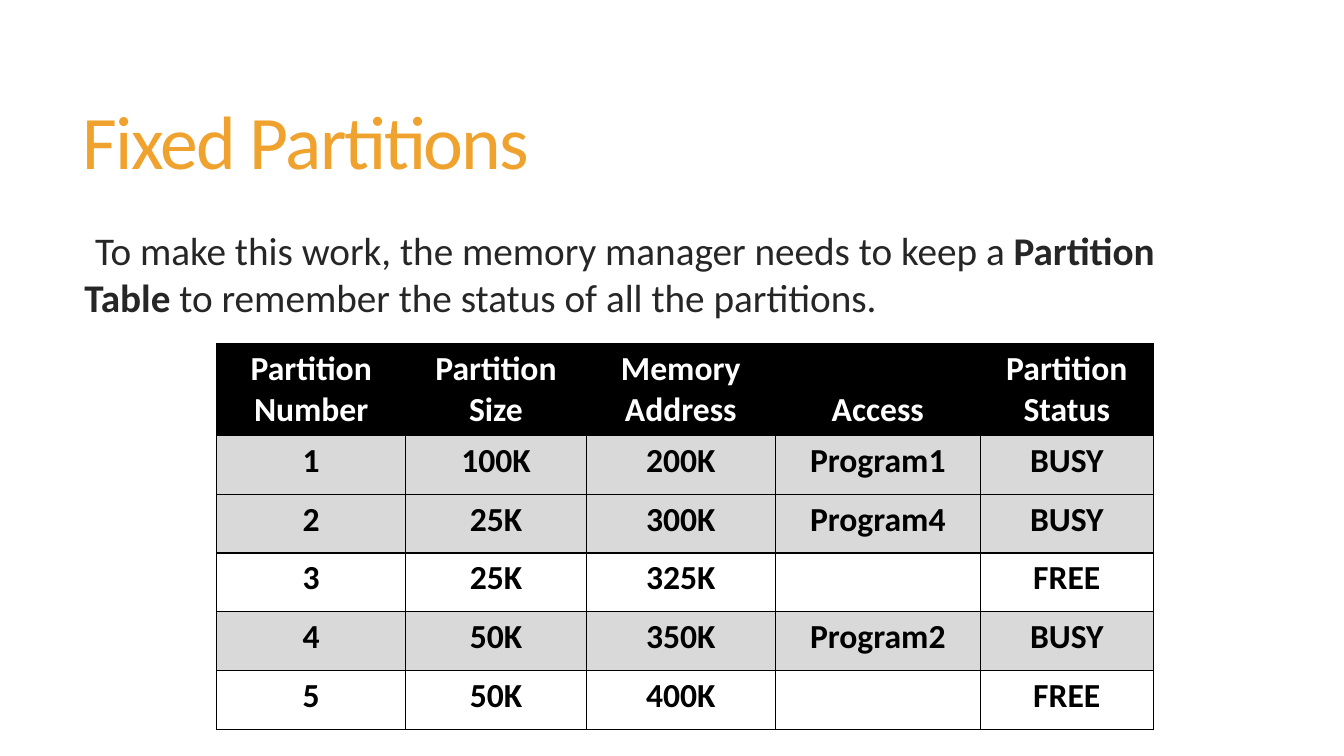
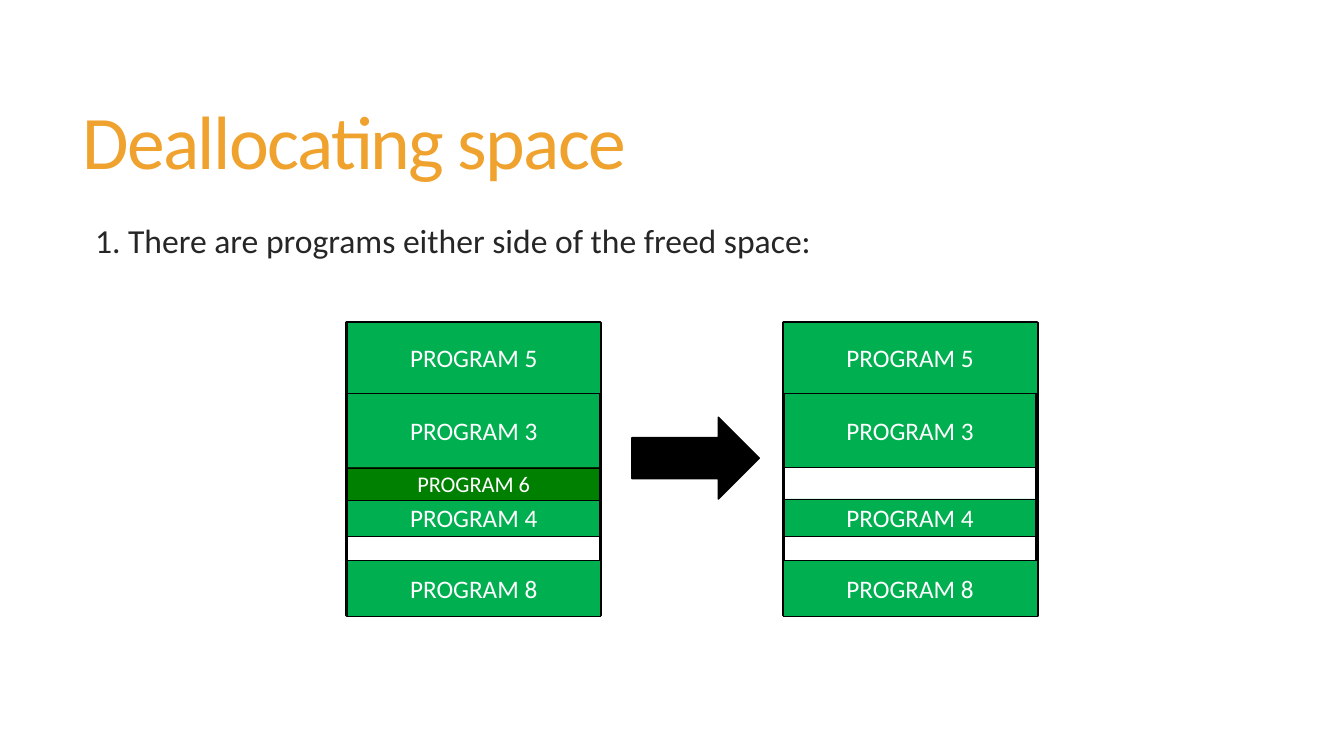
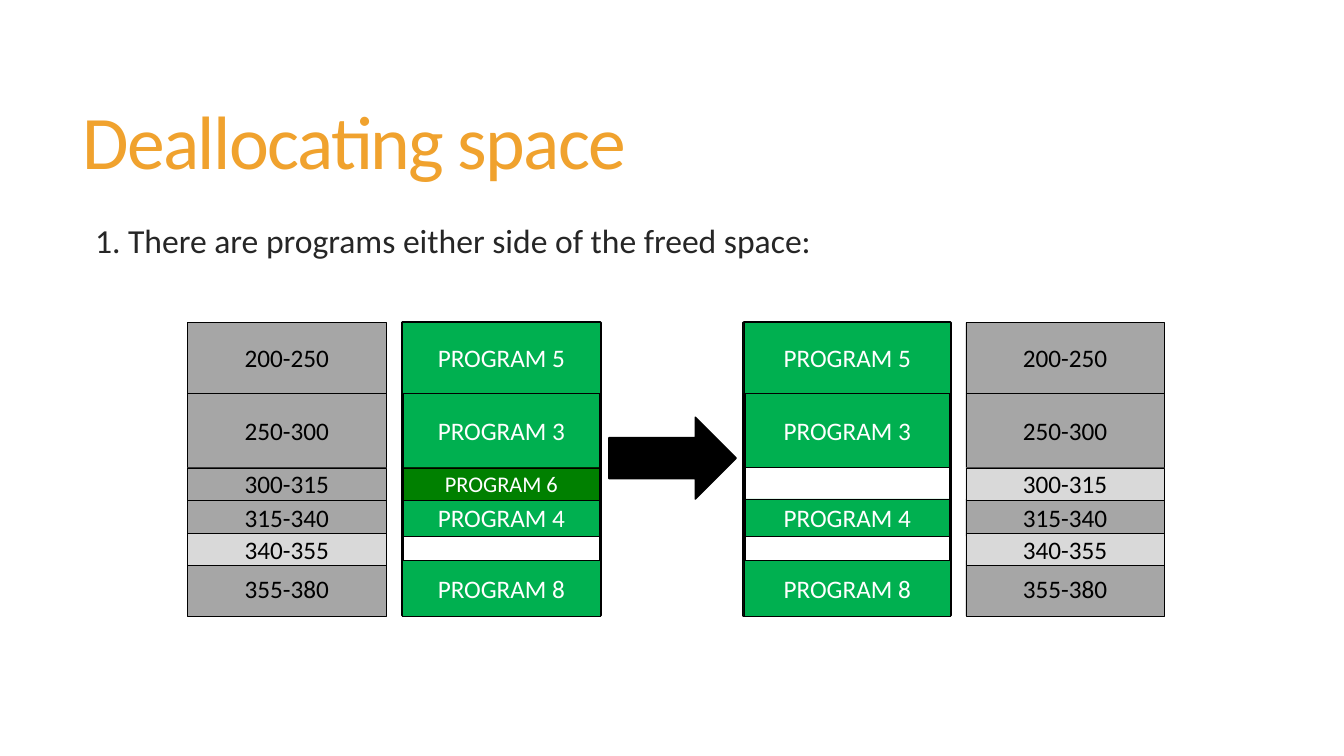
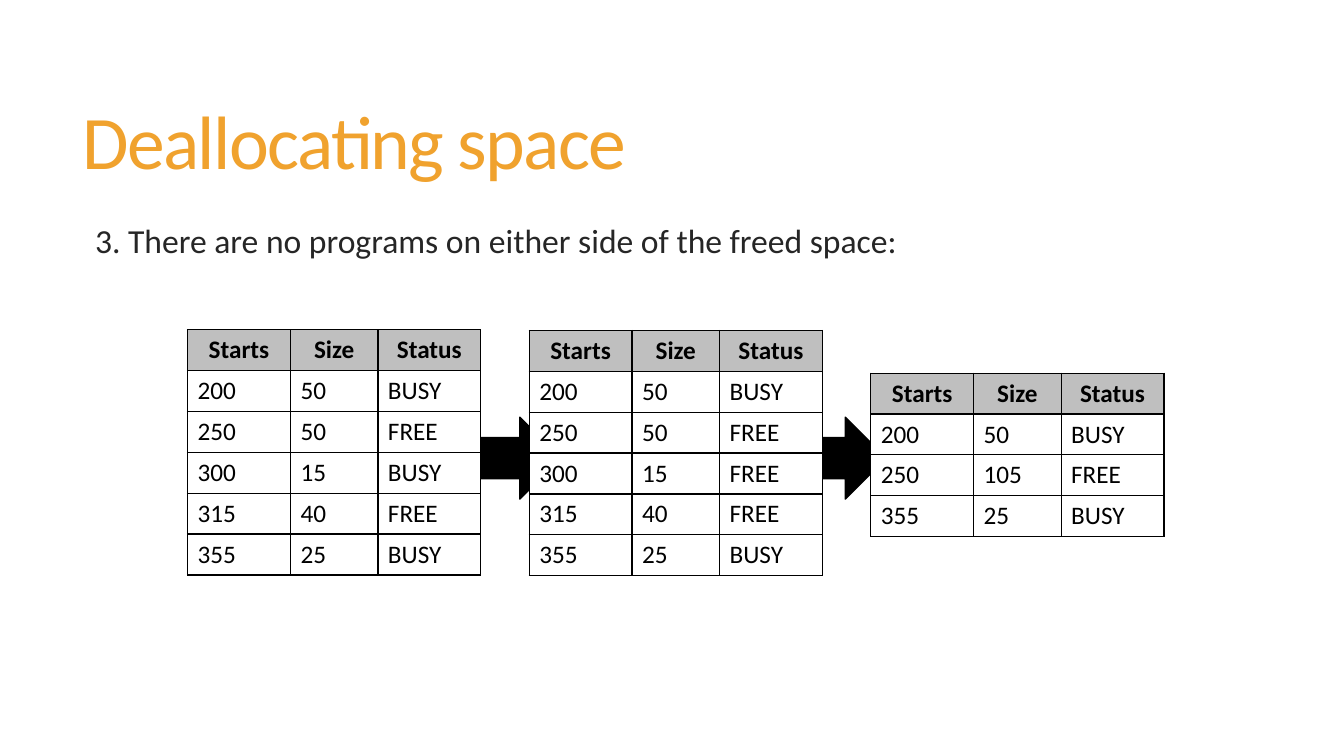
from lxml import etree
from pptx import Presentation
from pptx.dml.color import RGBColor
from pptx.enum import shapes, text
from pptx.oxml import ns
from pptx.util import Pt

FONT = "Calibri"
COLORS = {
    "title": "F0A22E", "body": "262626", "black": "000000", "white": "FFFFFF",
    "program": "00B050", "leaving": "008000", "used": "A6A6A6",
    "free": "D9D9D9", "busy_row": "D9D9D9", "header": "BFBFBF",
}
# Top and height of each memory block, from the lowest address
SLOTS = [(230.4, 50.4), (280.8, 53.3), (334.1, 23), (356.4, 26.6), (380.9, 23), (400.3, 39.6)]
STACKING = (1, 3, 2, 0, 5, 4)
MEMORY_TOP, MEMORY_HEIGHT = 230.4, 209.5
BEFORE = ["PROGRAM 5", "PROGRAM 3", "PROGRAM 6", "PROGRAM 4", None, "PROGRAM 8"]
AFTER = ["PROGRAM 5", "PROGRAM 3", None, "PROGRAM 4", None, "PROGRAM 8"]
RANGES = ["200-250", "250-300", "300-315", "315-340", "340-355", "355-380"]
CENTER = text.PP_ALIGN.CENTER


def rgb(name):
    return RGBColor.from_string(COLORS[name])


def style(paragraph, size, color, bold=False, align=None):
    paragraph.alignment = align
    for run in paragraph.runs:
        run.font.name = FONT
        run.font.size = Pt(size)
        run.font.bold = bold
        run.font.color.rgb = rgb(color)


def text_frame(slide, left, top, width, height):
    frame = slide.shapes.add_textbox(Pt(left), Pt(top), Pt(width), Pt(height)).text_frame
    frame.word_wrap = True
    return frame


def add_title(slide, wording):
    frame = text_frame(slide, 52, 39.6, 848, 130.3)
    frame.vertical_anchor = text.MSO_ANCHOR.MIDDLE
    frame.text = wording
    heading = frame.paragraphs[0]
    heading.line_spacing = 0.85
    style(heading, 54, "title")
    heading.runs[0].font._element.set("spc", "-120")


def add_body(slide, parts, size, spacing):
    """Write one paragraph; every second part is bold."""
    frame = text_frame(slide, 53.3, 158, 846.7, 296.6)
    frame.margin_right = Pt(14.4)
    paragraph = frame.paragraphs[0]
    for part in parts:
        paragraph.add_run().text = part
    paragraph.line_spacing = spacing
    paragraph._p.get_or_add_pPr().set("indent", str(Pt(7.5)))
    style(paragraph, size, "body")
    for run in paragraph.runs[1::2]:
        run.font.bold = True


def add_block(slide, kind, box, fill, line_width):
    block = slide.shapes.add_shape(kind, *map(Pt, box))
    block.shadow.inherit = False
    if fill:
        block.fill.solid()
        block.fill.fore_color.rgb = rgb(fill)
    else:
        block.fill.background()
    block.line.color.rgb = rgb("black")
    block.line.width = Pt(line_width)
    return block


def add_arrow(slide, left):
    add_block(slide, shapes.MSO_SHAPE.RIGHT_ARROW, (left, 298, 91, 58.5), "black", 1)


def add_slot(slide, left, width, slot, label, fill, color, size=18):
    top, height = SLOTS[slot]
    block = add_block(slide, shapes.MSO_SHAPE.RECTANGLE, (left, top, width, height), fill, 0.25)
    frame = block.text_frame
    frame.vertical_anchor = text.MSO_ANCHOR.MIDDLE
    frame.text = label
    style(frame.paragraphs[0], size, color, align=CENTER)


def add_memory(slide, left, width, programs):
    """Draw a framed memory column; the end blocks lie over the frame."""
    for slot in STACKING:
        if slot == 0:
            add_block(slide, shapes.MSO_SHAPE.RECTANGLE,
                      (left, MEMORY_TOP, width, MEMORY_HEIGHT), None, 2.25)
        program = programs[slot]
        if program == "PROGRAM 6":
            add_slot(slide, left, width, slot, program, "leaving", "white", 16)
        elif program:
            add_slot(slide, left, width, slot, program, "program", "white")


def add_ranges(slide, left, programs):
    """Draw the address ranges, lighter where no program is held."""
    for slot in STACKING:
        fill = "used" if programs[slot] else "free"
        add_slot(slide, left, 141.8, slot, RANGES[slot], fill, "black")


def add_borders(cell):
    properties = cell._tc.get_or_add_tcPr()
    for side in ("lnL", "lnR", "lnT", "lnB"):
        line = etree.SubElement(properties, ns.qn(f"a:{side}"), w=str(Pt(1)))
        fill = etree.SubElement(line, ns.qn("a:solidFill"))
        etree.SubElement(fill, ns.qn("a:srgbClr"), val=COLORS["black"])


def add_grid(slide, left, top, widths, heights, rows, cell_style):
    """Draw a table; cell_style(row number, row) gives fill, size, colour, bold, alignment."""
    table = slide.shapes.add_table(len(rows), len(widths), Pt(left), Pt(top),
                                   Pt(sum(widths)), Pt(sum(heights))).table
    table.horz_banding = table.first_row = False
    for column, width in zip(table.columns, widths):
        column.width = Pt(width)
    for number, (row, height, values) in enumerate(zip(table.rows, heights, rows)):
        row.height = Pt(height)
        fill, *font = cell_style(number, values)
        for cell, value in zip(row.cells, values):
            add_borders(cell)
            cell.fill.solid()
            cell.fill.fore_color.rgb = rgb(fill)
            cell.text = value
            style(cell.text_frame.paragraphs[0], *font)
            if number == 0:
                cell.vertical_anchor = text.MSO_ANCHOR.BOTTOM


def partition_style(number, values):
    if number == 0:
        return "black", 24, "white", True, CENTER
    fill = "busy_row" if values[-1] == "BUSY" else "white"
    return fill, 24, "black", True, CENTER


def status_style(number, values):
    if number == 0:
        return "header", 18, "black", True, CENTER
    return "white", 18, "black"


def add_status_table(slide, left, top, entries):
    rows = [("Starts", "Size", "Status"), *entries]
    add_grid(slide, left, top, (73.5, 62.5, 73.5), [29.2] * len(rows), rows, status_style)


def main():
    deck = Presentation()
    deck.slide_width, deck.slide_height = Pt(960), Pt(540)

    def new_slide(title, parts, size=24, spacing=0.85):
        slide = deck.slides.add_slide(deck.slide_layouts[6])
        add_title(slide, title)
        add_body(slide, parts, size, spacing)
        return slide

    slide = new_slide("Fixed Partitions", [
        "To make this work, the memory manager needs to keep a ", "Partition Table",
        " to remember the status of all the partitions."], 28, 1)
    partitions = [
        ("Partition Number", "Partition Size", "Memory Address", "Access", "Partition Status"),
        ("1", "100K", "200K", "Program1", "BUSY"),
        ("2", "25K", "300K", "Program4", "BUSY"),
        ("3", "25K", "325K", "", "FREE"),
        ("4", "50K", "350K", "Program2", "BUSY"),
        ("5", "50K", "400K", "", "FREE"),
    ]
    add_grid(slide, 154.8, 245.5, (135, 129, 135, 146.5, 123.5), [65.5] + [42] * 5,
             partitions, partition_style)

    either_side = ["1. There are programs either side of the freed space:"]
    slide = new_slide("Deallocating space", either_side)
    add_memory(slide, 247.7, 181.4, BEFORE)
    add_memory(slide, 559.4, 181.4, AFTER)
    add_arrow(slide, 451.4)

    slide = new_slide("Deallocating space", either_side)
    add_memory(slide, 287.3, 141.8, BEFORE)
    add_memory(slide, 531.4, 147.6, AFTER)
    add_arrow(slide, 434.9)
    add_ranges(slide, 134, BEFORE)
    add_ranges(slide, 689.8, AFTER)

    slide = new_slide("Deallocating space",
                      ["3. There are no programs on either side of the freed space:"])
    add_arrow(slide, 542)
    add_arrow(slide, 309.6)
    first = [("200", "50", "BUSY"), ("250", "50", "FREE"), ("300", "15", "BUSY"),
             ("315", "40", "FREE"), ("355", "25", "BUSY")]
    freed = [("300", "15", "FREE") if entry[0] == "300" else entry for entry in first]
    merged = [first[0], ("250", "105", "FREE"), first[-1]]
    for number, (top, entries) in enumerate([(235.5, first), (236, freed), (266.5, merged)]):
        add_status_table(slide, 134 + 244 * number, top, entries)

    deck.save("out.pptx")


if __name__ == "__main__":
    main()
